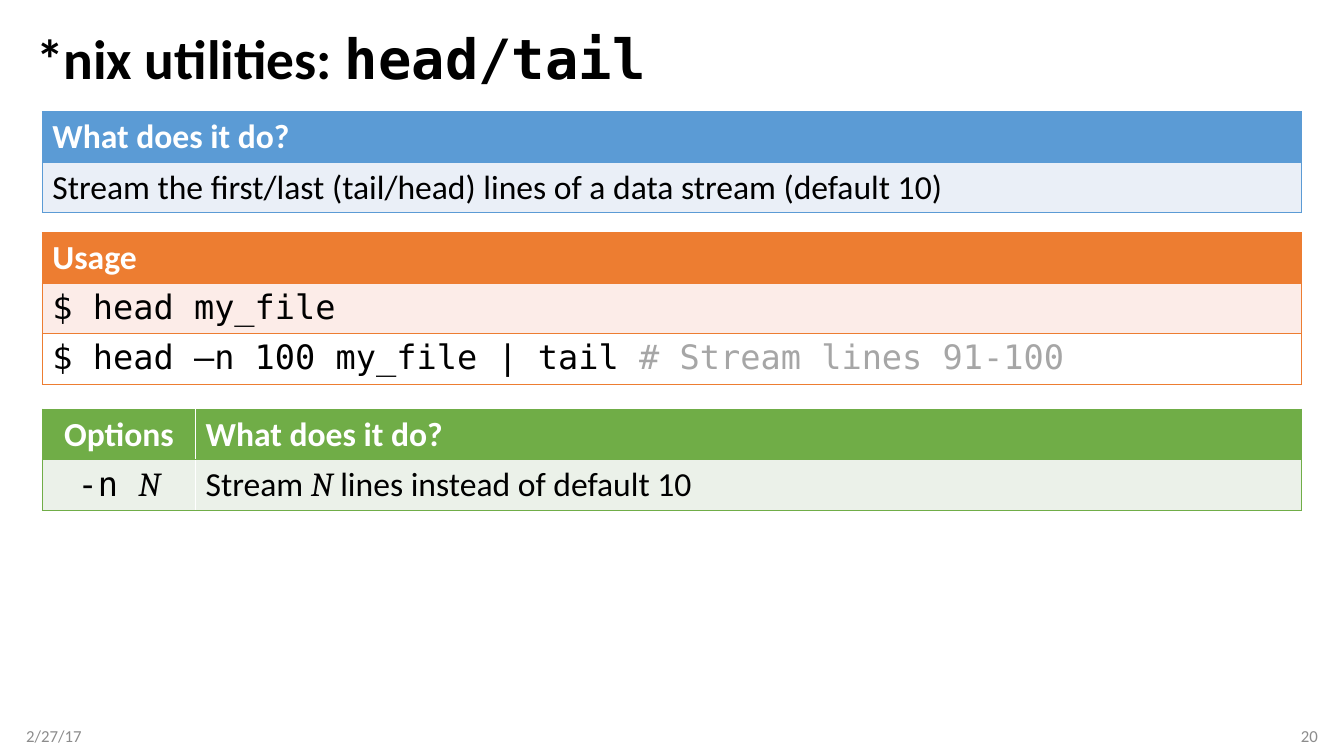
from lxml import etree
from pptx import Presentation
from pptx.dml.color import RGBColor
from pptx.enum import text
from pptx.oxml.ns import qn
from pptx.util import Inches, Pt

LEFT, CENTER, RIGHT = text.PP_ALIGN.LEFT, text.PP_ALIGN.CENTER, text.PP_ALIGN.RIGHT
TOP, MIDDLE = text.MSO_ANCHOR.TOP, text.MSO_ANCHOR.MIDDLE

# Text formats
TITLE = {"name": "Calibri", "size": 39.6, "color": "000000", "bold": True}
TITLE_CODE = {**TITLE, "name": "DejaVu Sans Mono"}
FOOTER = {"name": "Calibri", "size": 12, "color": "8C8C8C"}
HEAD = {"name": "Calibri", "size": 24, "color": "FFFFFF", "bold": True}
BODY = {**HEAD, "color": "000000", "bold": False}
CODE = {**BODY, "name": "DejaVu Sans Mono"}
REMARK = {**CODE, "color": "A6A6A6"}
VARIABLE = {**BODY, "name": "Cambria", "italic": True}

# Text boxes: place, left and right inset, alignment, line spacing, spans
BOXES = [
    ((0.26, 0.25, 12.81, 0.72), (0.1, 0.1), LEFT, 0.9,
     [("*nix utilities: ", TITLE), ("head/tail", TITLE_CODE)]),
    ((0.26, 7.1, 3, 0.4), (0, 0.1), LEFT, 1, [("2/27/17", FOOTER)]),
    ((10.07, 7.1, 3, 0.4), (0.1, 0), RIGHT, 1, [("20", FOOTER)]),
]

# Tables: each cell is a list of spans
TABLE_LEFT, ROW_HEIGHT = 0.42, 0.5
TABLES = [
    {"top": 1.11, "color": "5B9BD5", "fills": ["EAEFF7"], "widths": [12.49],
     "aligns": [LEFT], "anchor": TOP,
     "rows": [
         [[("What does it do?", HEAD)]],
         [[("Stream the first/last (tail/head) lines of a data stream (default 10)", BODY)]],
     ]},
    {"top": 4.06, "color": "70AD47", "fills": ["EBF1E9"], "widths": [1.52, 10.97],
     "aligns": [CENTER, LEFT], "anchor": MIDDLE,
     "rows": [
         [[("Options", HEAD)], [("What does it do?", HEAD)]],
         [[("-n ", CODE), ("N", VARIABLE)],
          [("Stream ", BODY), ("N ", VARIABLE), ("lines instead of default 10", BODY)]],
     ]},
    {"top": 2.31, "color": "ED7D31", "fills": ["FCECE8", "FFFFFF"], "widths": [12.49],
     "aligns": [LEFT], "anchor": TOP,
     "rows": [
         [[("Usage", HEAD)]],
         [[("$ head my_file", CODE)]],
         [[("$ head –n 100 my_file | tail ", CODE), ("# Stream lines 91-100", REMARK)]],
     ]},
]


def rgb(color):
    return RGBColor.from_string(color)


def write(para, spans, align):
    para.alignment = align
    for words, style in spans:
        span = para.add_run()
        span.text = words
        for key, value in style.items():
            if key == "color":
                span.font.color.rgb = rgb(value)
            else:
                setattr(span.font, key, Pt(value) if key == "size" else value)


def add_borders(cell, sides, color):
    properties = cell._tc.get_or_add_tcPr()
    for side in sides:
        line = etree.SubElement(properties, qn(f"a:ln{side}"), w=str(Pt(1)))
        fill = etree.SubElement(line, qn("a:solidFill"))
        etree.SubElement(fill, qn("a:srgbClr"), val=color)


def add_box(page, place, insets, align, spacing, spans):
    frame = page.shapes.add_textbox(*map(Inches, place)).text_frame
    settings = {"word_wrap": True, "vertical_anchor": MIDDLE,
                "margin_left": Inches(insets[0]), "margin_right": Inches(insets[1])}
    for key, value in settings.items():
        setattr(frame, key, value)
    para = frame.paragraphs[0]
    para.line_spacing = spacing
    write(para, spans, align)


def add_grid(page, top, color, fills, widths, aligns, anchor, rows):
    place = (TABLE_LEFT, top, sum(widths), ROW_HEIGHT * len(rows))
    table = page.shapes.add_table(len(rows), len(widths), *map(Inches, place)).table
    table.horz_banding = False
    for column, width in zip(table.columns, widths):
        column.width = Inches(width)
    for r, (row, fill) in enumerate(zip(rows, [color] + fills)):
        for c, spans in enumerate(row):
            cell = table.cell(r, c)
            # Only the outer vertical edges are ruled
            sides = "L" * (c == 0) + "R" * (c == len(widths) - 1) + "TB"
            add_borders(cell, sides, color)
            cell.fill.solid()
            cell.fill.fore_color.rgb = rgb(fill)
            cell.vertical_anchor = anchor
            write(cell.text_frame.paragraphs[0], spans, aligns[c])


def main():
    deck = Presentation()
    deck.slide_width, deck.slide_height = Inches(13.33), Inches(7.5)
    page = deck.slides.add_slide(deck.slide_layouts[6])
    for box in BOXES:
        add_box(page, *box)
    for table in TABLES:
        add_grid(page, **table)
    deck.save("out.pptx")


if __name__ == "__main__":
    main()
